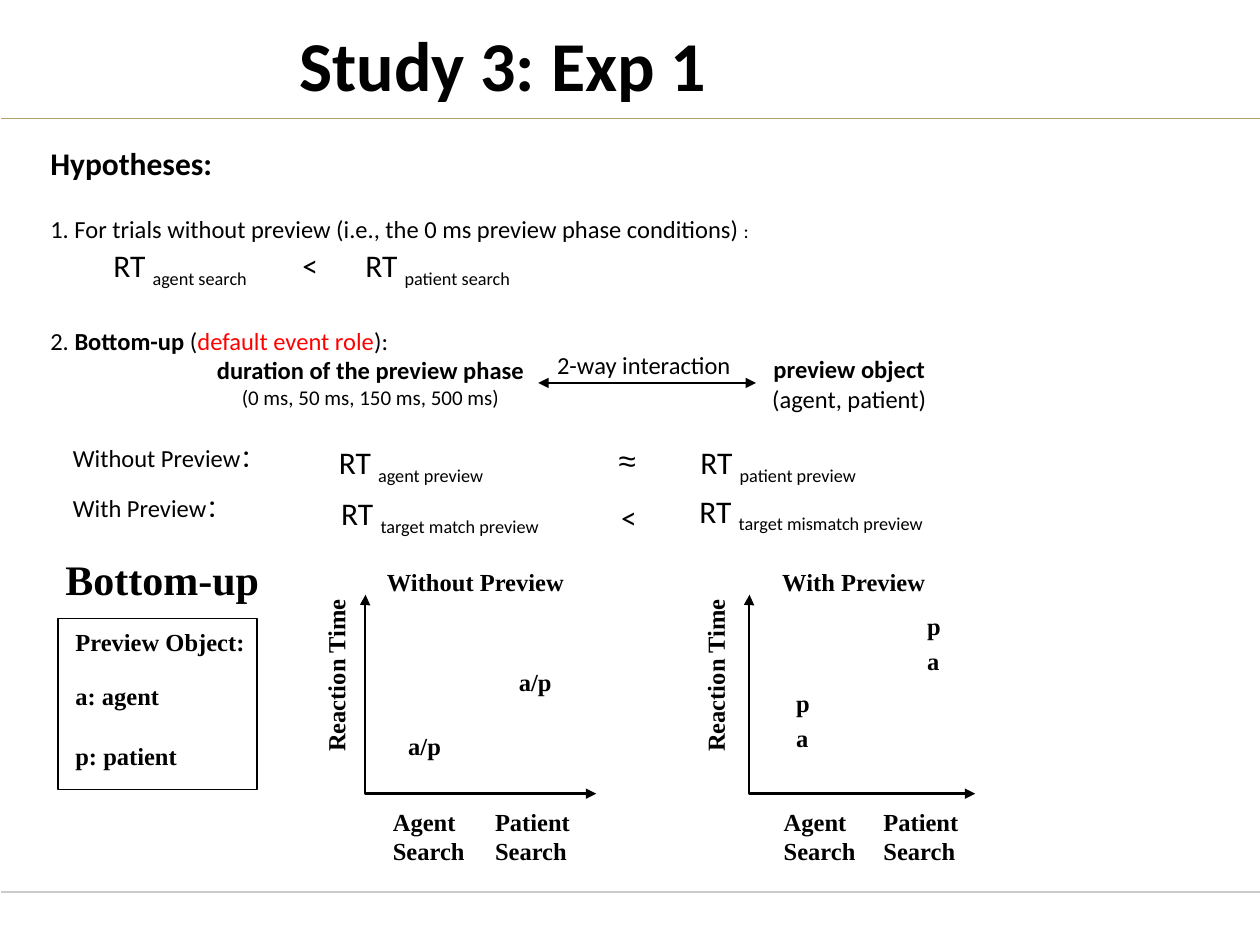
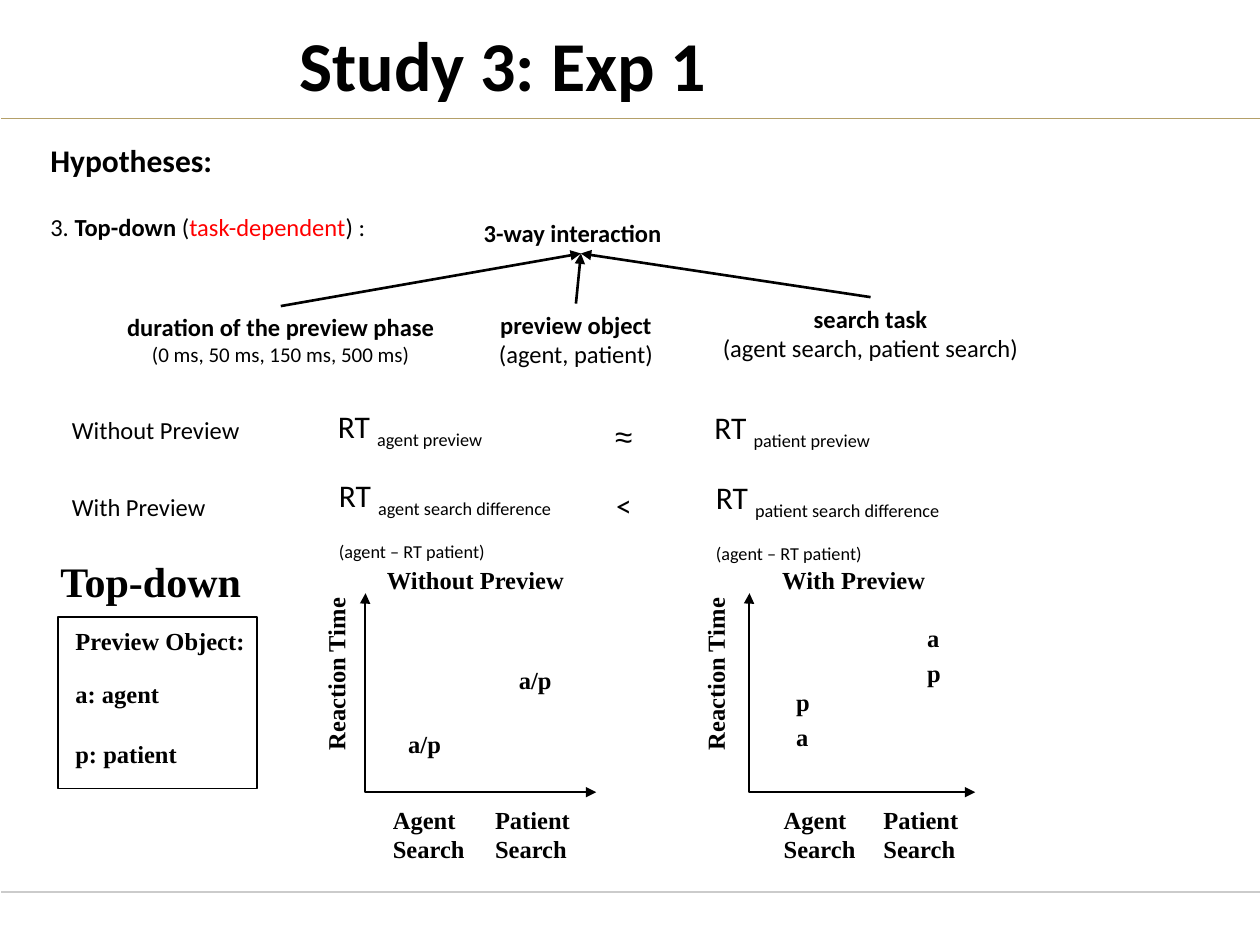
import pptx
import pptx.util
import pptx.dml.color
import pptx.enum.shapes
import pptx.enum.text
import pptx.oxml
import pptx.oxml.ns
import lxml.etree

Cm = pptx.util.Cm
Pt = pptx.util.Pt

# Shared look
BLACK, RED, OLIVE, GREY = "000000", "FF0000", "B4A069", "CBCBCB"
SANS, SERIF = "Calibri", "Times New Roman"
TITLE = "Study 3: Exp 1"
TITLE_BOX = (3, 0.3, 14.27, 1.96)
BANDS = [(2.39, OLIVE), (17.98, GREY)]
SUB, BOLD, ACCENT = {"sub": True}, {"bold": True}, {"color": RED}
SMALL, LARGE = {"size": 12}, {"size": 18}

# Concepts: name, levels, style of levels
DURATION = ("duration of the preview phase", "(0 ms, 50 ms, 150 ms, 500 ms)", SMALL)
OBJECT = ("preview object", "(agent, patient)", {})
TASK = ("search task", "(agent search, patient search)", {})

# Plots: title, axis left, axis width, y label left, title left, tick lefts
PLOTS = [
    ("Without Preview", 7.37, 4.65, 6.22, 7.8, (7.92, 9.98)),
    ("With Preview", 15.11, 4.55, 13.87, 15.77, (15.8, 17.81)),
]
TICKS = ["Agent", "Patient"]
SHARED_MARKS = [("a/p", 8.23, 14.73), ("a/p", 10.46, 13.44),
                ("p", 16.05, 13.87), ("a", 16.05, 14.58)]

SLIDES = [
    {
        "body_box": (0.76, 2.77, 23.93, 5.03),
        "hypotheses": [
            [("Hypotheses:", {"bold": True, "size": 18})],
            [("1. For trials without preview (i.e., the 0 ms preview phase conditions)", {}),
             (" :", {"size": 11})],
            [("\tRT ", LARGE), ("agent search", {**LARGE, **SUB}), ("\t<\tRT ", LARGE),
             ("patient search", {**LARGE, **SUB})],
            [("2. ", {}), ("Bottom-up", BOLD), (" (", {}),
             ("default event role", ACCENT), ("):", {})],
        ],
        "gaps": [0, 18.5, 1.5, 21],
        "formula_tabs": [7.29, 11.02, 12.75],
        "concepts": [(DURATION, 3.84, 7.16), (OBJECT, 13.49, 7.14)],
        "interaction": ("2-way interaction", False, 11.23, 7.06),
        "arrows": [((10.85, 7.72), (15.24, 7.72), True)],
        "conditions": [("Without Preview：", 1.47, 8.94), ("With Preview：", 1.47, 9.93)],
        "times": [(["agent preview"], 6.83, 8.94), (["patient preview"], 14.12, 8.94),
                  (["target match preview"], 6.88, 9.96),
                  (["target mismatch preview"], 14.1, 9.91)],
        "relations": [("≈", "Arial", 12.47, 8.89), ("<", SANS, 12.52, 10.03)],
        "account": ("Bottom-up", 1.32, 11.15),
        "marks": [("p", 18.69, 12.32), ("a", 18.69, 13.03)],
        "shift": 0,
    },
    {
        "body_box": (0.76, 2.72, 23.93, 2.29),
        "hypotheses": [
            [("Hypotheses:", {"bold": True, "size": 18})],
            [("3. ", {}), ("Top-down", BOLD), (" (", {}),
             ("task-dependent", ACCENT), (") :", {})],
        ],
        "gaps": [0, 19],
        "formula_tabs": [],
        "concepts": [(DURATION, 2.03, 6.3), (OBJECT, 7.98, 6.25), (TASK, 13.92, 6.12)],
        "interaction": ("3-way interaction", True, 9.75, 4.39),
        "arrows": [(start, (11.71, 5.11), False)
                   for start in [(5.66, 6.17), (17.55, 5.99), (11.61, 6.12)]],
        "conditions": [("Without Preview", 1.45, 8.36), ("With Preview", 1.45, 9.91)],
        "times": [(["agent preview"], 6.81, 8.2), (["patient preview"], 14.4, 8.23),
                  (["agent search difference", "(agent – RT patient)"], 6.83, 9.6),
                  (["patient search difference", "(agent – RT patient)"], 14.43, 9.63)],
        "relations": [("≈", "Arial", 12.4, 8.41), ("<", SANS, 12.42, 9.8)],
        "account": ("Top-down", 1.22, 11.2),
        "marks": [("a", 18.69, 12.58), ("p", 18.69, 13.29)],
        "shift": -0.03,
    },
]


def rgb(color):
    return pptx.dml.color.RGBColor.from_string(color)


def sub_element(parent, tag, **attributes):
    element = lxml.etree.SubElement(parent, pptx.oxml.ns.qn(tag))
    for name, value in attributes.items():
        element.set(name, value)
    return element


def write(frame, paragraphs, size=14, face=SANS, bold=False, centered=False,
          gaps=None, tabs=()):
    """Fill a frame; a paragraph is a string or a list of (text, style)."""
    frame.word_wrap = True
    frame.auto_size = pptx.enum.text.MSO_AUTO_SIZE.NONE
    for index, content in enumerate(paragraphs):
        paragraph = frame.paragraphs[0] if index == 0 else frame.add_paragraph()
        pieces = [(content, {})] if isinstance(content, str) else content
        properties = paragraph._p.get_or_add_pPr()
        properties.set("marL", "0")
        properties.set("indent", "0")
        sub_element(properties, "a:buNone")
        if tabs:
            stops = sub_element(properties, "a:tabLst")
            for stop in tabs:
                sub_element(stops, "a:tab", pos=str(Cm(stop)), algn="l")
        align = pptx.enum.text.PP_ALIGN
        paragraph.alignment = align.CENTER if centered else align.LEFT
        paragraph.space_before = Pt(gaps[index] if gaps else 0)
        for text, style in pieces:
            run = paragraph.add_run()
            run.text = text
            run.font.name = face
            run.font.size = Pt(style.get("size", size))
            run.font.bold = style.get("bold", bold)
            run.font.color.rgb = rgb(style.get("color", BLACK))
            if style.get("sub"):
                run._r.get_or_add_rPr().set("baseline", "-25000")


def add_text(slide, paragraphs, left, top, width=5.5, height=0.6, **style):
    box = slide.shapes.add_textbox(Cm(left), Cm(top), Cm(width), Cm(height))
    frame = box.text_frame
    frame.margin_left = frame.margin_right = frame.margin_top = frame.margin_bottom = 0
    write(frame, paragraphs, **style)
    return frame


def place(shape, box):
    shape.left, shape.top, shape.width, shape.height = (Cm(length) for length in box)


def add_line(slide, start, end, color=BLACK, width=1.5, heads=(), elbow=False):
    kinds = pptx.enum.shapes.MSO_CONNECTOR
    line = slide.shapes.add_connector(kinds.ELBOW if elbow else kinds.STRAIGHT,
                                      *(Cm(length) for length in start + end))
    line.line.color.rgb = rgb(color)
    line.line.width = Pt(width)
    for head in heads:
        sub_element(line.line._get_or_add_ln(), head, type="triangle")
    if elbow:  # turn at the corner instead of halfway
        geometry = line._element.spPr.find(pptx.oxml.ns.qn("a:prstGeom"))
        guides = geometry.find(pptx.oxml.ns.qn("a:avLst"))
        if guides is None:
            guides = sub_element(geometry, "a:avLst")
        sub_element(guides, "a:gd", name="adj1", fmla="val -200")
    sub_element(line._element.spPr, "a:effectLst")


def add_frame(slide, content):
    """Bands, title and hypotheses."""
    for top, color in BANDS:
        add_line(slide, (0.03, top), (25.4, top), color, 0.75)
    title, body = slide.placeholders
    place(title, TITLE_BOX)
    write(title.text_frame, [TITLE], size=40, bold=True, centered=True)
    place(body, content["body_box"])
    write(body.text_frame, content["hypotheses"], gaps=content["gaps"],
          tabs=content["formula_tabs"])


def add_predictions(slide, content):
    """Interacting concepts and the expected order of reaction times."""
    for (name, levels, style), left, top in content["concepts"]:
        add_text(slide, [[(name, BOLD)], [(levels, style)]], left, top, 7.26, 1.2,
                 centered=True)
    label, bold, left, top = content["interaction"]
    add_text(slide, [label], left, top, bold=bold)
    for start, end, both in content["arrows"]:
        add_line(slide, start, end, heads=("a:headEnd", "a:tailEnd")[0 if both else 1:])
    for condition, left, top in content["conditions"]:
        add_text(slide, [condition], left, top)
    for (first, *others), left, top in content["times"]:
        lines = [[("RT ", {}), (first, SUB)]] + [[(other, SUB)] for other in others]
        add_text(slide, lines, left, top, height=0.8 * len(lines), size=18)
    for sign, face, left, top in content["relations"]:
        add_text(slide, [sign], left, top, 0.6, 0.8, size=18, face=face)


def add_plots(slide, content):
    """Account name, legend and both sketched plots."""
    shift = content["shift"]
    serif = {"face": SERIF, "bold": True}
    account, left, top = content["account"]
    add_text(slide, [account], left, top, height=1, size=24, **serif)

    legend = slide.shapes.add_shape(pptx.enum.shapes.MSO_SHAPE.RECTANGLE, Cm(1.17),
                                    Cm(12.47 + shift), Cm(4.01), Cm(3.45))
    legend.shadow.inherit = False
    legend.fill.background()
    legend.line.color.rgb = rgb(BLACK)
    legend.line.width = Pt(0.75)
    add_text(slide, ["Preview Object:"], 1.52, 12.65 + shift, 4.1, **serif)
    add_text(slide, ["a: agent", "p: patient"], 1.52, 13.72 + shift, 4.1, 1.8,
             gaps=[0, 17.5], **serif)

    for name, left, width, label_left, name_left, tick_lefts in PLOTS:
        add_line(slide, (left, 11.99 + shift), (left + width, 16 + shift),
                 heads=("a:headEnd", "a:tailEnd"), elbow=True)
        add_text(slide, [name], name_left, 11.43 + shift, 4.37, **serif)
        for tick, tick_left in zip(TICKS, tick_lefts):
            add_text(slide, [tick, "Search"], tick_left, 16.26 + shift, 1.8, 1.2, **serif)
        label = add_text(slide, ["Reaction Time"], label_left, 11.63 + shift,
                         1.12, 3.66, **serif)
        label.margin_left = label.margin_right = Cm(0.25)
        label.margin_top = label.margin_bottom = Cm(0.13)
        label._txBody.bodyPr.set("vert", "vert270")
    for mark, left, top in SHARED_MARKS + content["marks"]:
        add_text(slide, [mark], left, top + shift, 0.9, **serif)


def main():
    deck = pptx.Presentation()
    deck.slide_width, deck.slide_height = Cm(25.4), Cm(19.05)
    for content in SLIDES:
        slide = deck.slides.add_slide(deck.slide_layouts[1])
        add_frame(slide, content)
        add_predictions(slide, content)
        add_plots(slide, content)
    deck.save("out.pptx")


if __name__ == "__main__":
    main()
